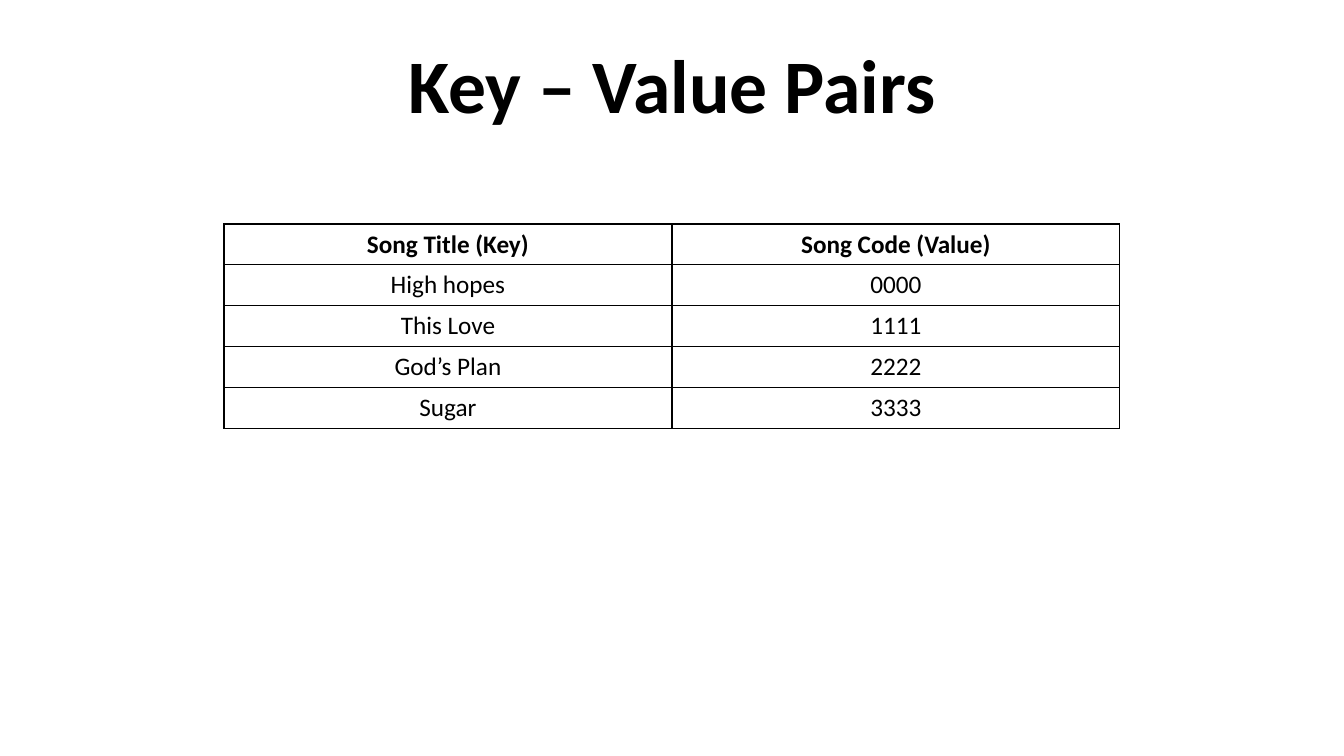
from lxml.etree import SubElement
from pptx import Presentation
from pptx.dml.color import RGBColor
from pptx.enum.text import MSO_ANCHOR, MSO_AUTO_SIZE, PP_ALIGN
from pptx.oxml.ns import qn
from pptx.util import Pt

SONGS = [
    ("Song Title (Key)", "Song Code (Value)"),
    ("High hopes", "0000"),
    ("This Love", "1111"),
    ("God’s Plan", "2222"),
    ("Sugar", "3333"),
]


def color(hex_code):
    return RGBColor.from_string(hex_code)


def write(frame, text, size, font, ink, bold=False, line_spacing=None):
    frame.text = text
    paragraph = frame.paragraphs[0]
    paragraph.alignment = PP_ALIGN.CENTER
    paragraph.line_spacing = line_spacing
    run_font = paragraph.runs[0].font
    run_font.name, run_font.size, run_font.bold = font, Pt(size), bold
    run_font.color.rgb = color(ink)


class SongSlide:
    font = "Calibri"
    ink = "000000"
    border_width = 1

    def __init__(self, slide):
        self.slide = slide

    def title(self, text, left, top, width, height):
        heading = self.slide.shapes.title
        heading.left, heading.top = Pt(left), Pt(top)
        heading.width, heading.height = Pt(width), Pt(height)
        frame = heading.text_frame
        frame.word_wrap = True
        frame.auto_size = MSO_AUTO_SIZE.NONE
        frame.vertical_anchor = MSO_ANCHOR.BOTTOM
        write(frame, text, 54, self.font, self.ink, bold=True, line_spacing=0.9)

    def border(self, cell):
        properties = cell._tc.get_or_add_tcPr()
        for side in ("lnL", "lnR", "lnT", "lnB"):
            line = SubElement(properties, qn(f"a:{side}"), w=str(Pt(self.border_width)))
            fill = SubElement(line, qn("a:solidFill"))
            SubElement(fill, qn("a:srgbClr"), val=self.ink)

    def table(self, rows, left, top, width, row_height):
        grid = self.slide.shapes.add_table(
            len(rows), len(rows[0]), Pt(left), Pt(top), Pt(width), Pt(row_height * len(rows))
        ).table
        grid.first_row = grid.horz_banding = False
        for row_index, row in enumerate(rows):
            for column_index, text in enumerate(row):
                cell = grid.cell(row_index, column_index)
                write(cell.text_frame, text, 18, self.font, self.ink, bold=row_index == 0)
                self.border(cell)
                cell.fill.background()


def main():
    deck = Presentation()
    deck.slide_width, deck.slide_height = Pt(960), Pt(540)
    slide = deck.slides.add_slide(deck.slide_layouts[0])
    subtitle = slide.placeholders[1].element
    subtitle.getparent().remove(subtitle)

    song_slide = SongSlide(slide)
    song_slide.title("Key – Value Pairs", 120, 39, 720, 57)
    song_slide.table(SONGS, 160, 160, 640, 29.2)
    deck.save("out.pptx")


if __name__ == "__main__":
    main()
